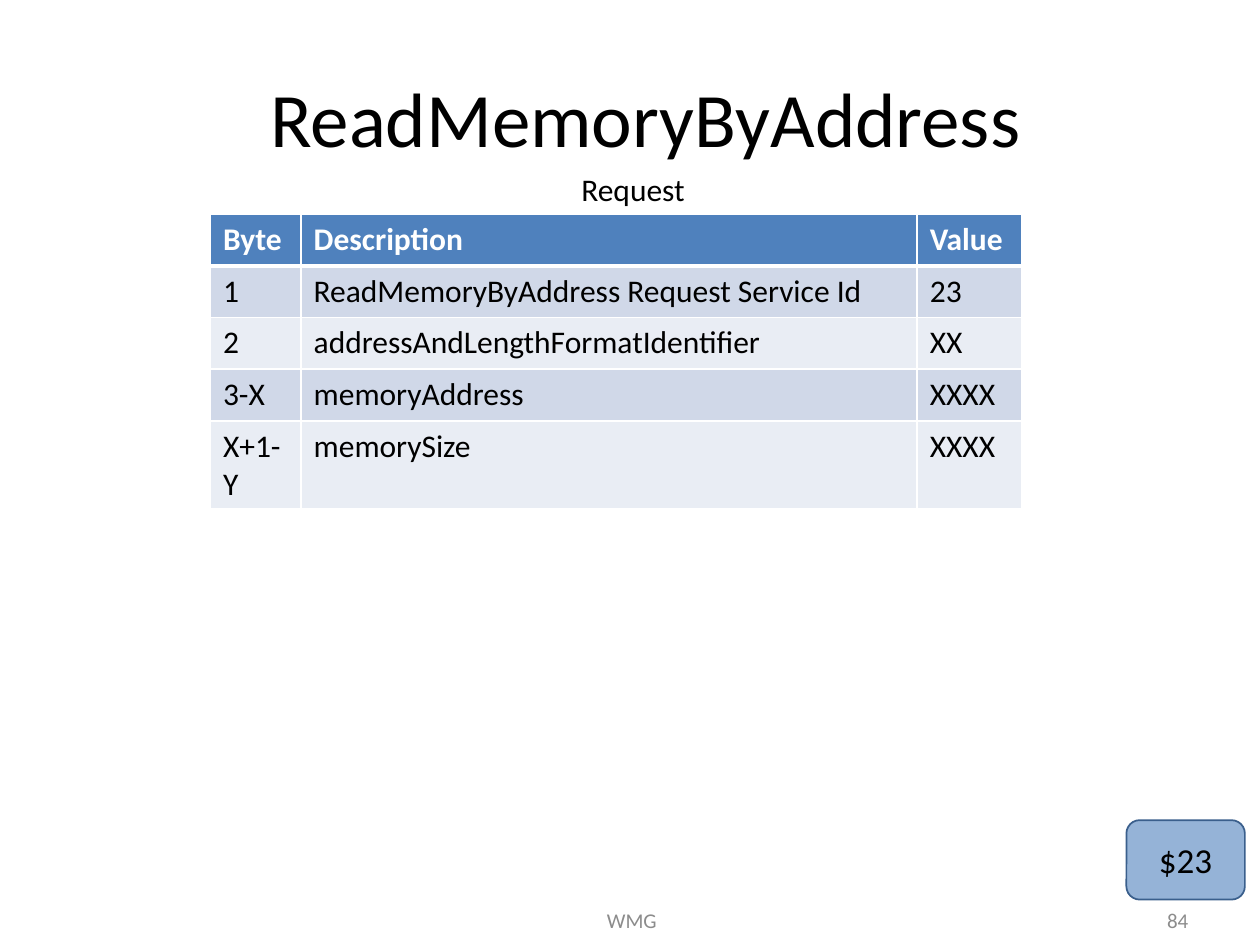
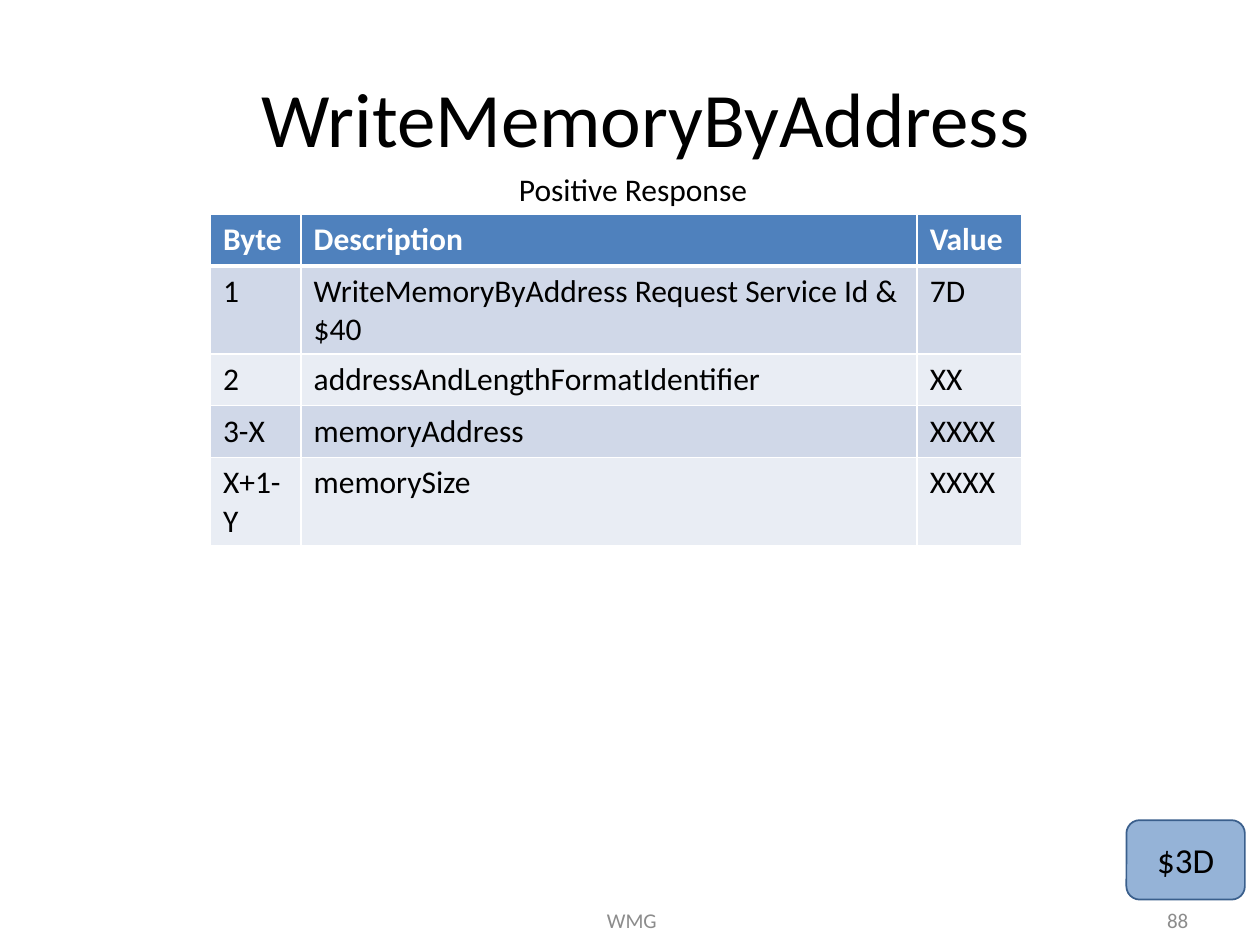
import pptx
import pptx.util
from pptx.dml.color import RGBColor
from pptx.enum.shapes import MSO_SHAPE
from pptx.enum.text import MSO_ANCHOR, MSO_AUTO_SIZE, PP_ALIGN
from pptx.oxml.ns import qn
from lxml import etree

# Content
HEADER = ("Byte", "Description", "Value")
SHARED_ROWS = [
    ("2", "addressAndLengthFormatIdentifier", "XX"),
    ("3-X", "memoryAddress", "XXXX"),
    ("X+1-Y", "memorySize", "XXXX"),
]
FOOTER = "WMG"
SLIDES = [
    dict(title="ReadMemoryByAddress", caption="Request", service="$23", number="84",
         first_row=("1", "ReadMemoryByAddress Request Service Id", "23")),
    dict(title="WriteMemoryByAddress", caption="Positive Response", service="$3D", number="88",
         first_row=("1", "WriteMemoryByAddress Request Service Id & $40", "7D")),
]

# Style
FONT = "Calibri"
BLACK = RGBColor(0x00, 0x00, 0x00)
WHITE = RGBColor(0xFF, 0xFF, 0xFF)
GREY = RGBColor(0x8C, 0x8C, 0x8C)
HEADER_BLUE = RGBColor(0x4F, 0x81, 0xBD)
BANDS = (RGBColor(0xD0, 0xD8, 0xE8), RGBColor(0xE9, 0xED, 0xF4))
BADGE_FILL = RGBColor(0x95, 0xB3, 0xD7)
BADGE_LINE = RGBColor(0x3A, 0x5F, 0x8C)

# Layout in inches: left, top, width, height
WIDTH, HEIGHT = 10, 7.5
TITLE_BOX = (0.75, 0.3, 8.75, 1.25)
CAPTION_BOX = (4.01, 1.3, 2.03, 0.4)
FOOTER_BOX = (3.43, 7.1, 3.17, 0.4)
NUMBER_BOX = (7.2, 7.1, 2.33, 0.4)
BADGE_BOX = (8.94, 6.51, 0.94, 0.63)
TABLE_LEFT, TABLE_TOP = 1.67, 1.7
COLUMNS = (0.72, 4.89, 0.83)
ROW_HEIGHT = 0.41


def inches(box):
    return [pptx.util.Inches(v) for v in box]


def style(p, size, color, align=PP_ALIGN.LEFT, bold=False):
    p.alignment = align
    p.font.name = FONT
    p.font.size = pptx.util.Pt(size)
    p.font.color.rgb = color
    p.font.bold = bold


def add_text(s, box, text, size, color=BLACK, align=PP_ALIGN.CENTER, anchor=MSO_ANCHOR.MIDDLE):
    tf = s.shapes.add_textbox(*inches(box)).text_frame
    tf.word_wrap = True
    tf.vertical_anchor = anchor
    tf.text = text
    style(tf.paragraphs[0], size, color, align)
    return tf


def add_borders(cell, top, bottom):
    tc_pr = cell._tc.get_or_add_tcPr()
    for side, width in (("L", 1), ("R", 1), ("T", top), ("B", bottom)):
        ln = etree.SubElement(tc_pr, qn("a:ln" + side), w=str(pptx.util.Pt(width)))
        fill = etree.SubElement(ln, qn("a:solidFill"))
        etree.SubElement(fill, qn("a:srgbClr"), val=str(WHITE))


def add_message_table(s, rows):
    box = (TABLE_LEFT, TABLE_TOP, sum(COLUMNS), ROW_HEIGHT * len(rows))
    table = s.shapes.add_table(len(rows), len(COLUMNS), *inches(box)).table
    for column, width in zip(table.columns, COLUMNS):
        column.width = pptx.util.Inches(width)
    for r, row in enumerate(rows):
        is_header = r == 0
        for c, text in enumerate(row):
            cell = table.cell(r, c)
            # The rule below the header is thicker
            add_borders(cell, top=3 if r == 1 else 1, bottom=3 if is_header else 1)
            cell.fill.solid()
            cell.fill.fore_color.rgb = HEADER_BLUE if is_header else BANDS[(r - 1) % 2]
            cell.text = text
            style(cell.text_frame.paragraphs[0], 18,
                  WHITE if is_header else BLACK, bold=is_header)


def add_badge(s, text):
    sp = s.shapes.add_shape(MSO_SHAPE.ROUNDED_RECTANGLE, *inches(BADGE_BOX))
    sp.shadow.inherit = False
    sp.fill.solid()
    sp.fill.fore_color.rgb = BADGE_FILL
    sp.line.color.rgb = BADGE_LINE
    sp.line.width = pptx.util.Pt(1)
    tf = sp.text_frame
    tf.vertical_anchor = MSO_ANCHOR.MIDDLE
    tf.text = text
    style(tf.paragraphs[0], 20, BLACK, PP_ALIGN.CENTER)


def add_service_slide(prs, title, caption, service, number, first_row):
    s = prs.slides.add_slide(prs.slide_layouts[6])
    add_text(s, TITLE_BOX, title, 44)
    add_text(s, FOOTER_BOX, FOOTER, 12, GREY)
    add_text(s, NUMBER_BOX, number, 12, GREY, PP_ALIGN.RIGHT)
    add_message_table(s, [HEADER, first_row] + SHARED_ROWS)
    add_badge(s, service)
    tf = add_text(s, CAPTION_BOX, caption, 18, anchor=MSO_ANCHOR.TOP)
    tf.word_wrap = False
    tf.auto_size = MSO_AUTO_SIZE.SHAPE_TO_FIT_TEXT


def main():
    prs = pptx.Presentation()
    prs.slide_width, prs.slide_height = inches((WIDTH, HEIGHT))
    for content in SLIDES:
        add_service_slide(prs, **content)
    prs.save("out.pptx")


if __name__ == "__main__":
    main()
